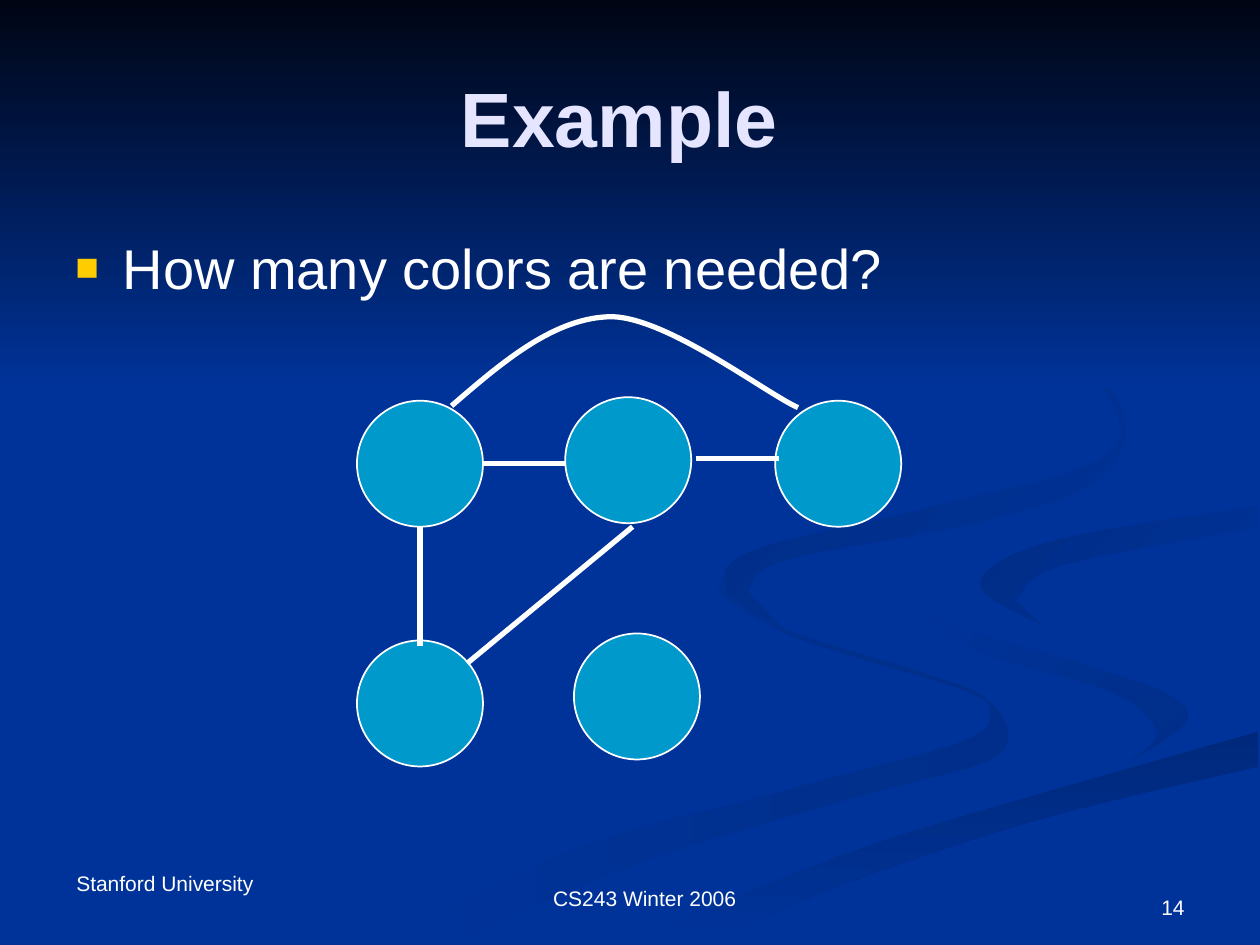
from itertools import chain

from lxml import etree
from pptx import Presentation
from pptx.dml.color import RGBColor
from pptx.enum.shapes import MSO_CONNECTOR as Connector, MSO_SHAPE as Shape
from pptx.enum.text import MSO_ANCHOR as Anchor, PP_ALIGN as Align
from pptx.oxml.ns import qn
from pptx.util import Pt

COLORS = {
    "blue": "003399", "night": "000514", "white": "FFFFFF", "title": "E5E5FF",
    "node": "0099CC", "bullet": "FFCC00", "shade_tail": "002E8A",
    "shade_road": "00297C", "shade_bend": "002C85", "shade_top": "002B81",
}

# Background ribbons: start colour, end colour, clockwise angle, smooth sides
RIBBONS = [
    ("shade_tail", "blue", 180, [
        [(414, 330), (442, 357), (526, 384), (562, 398), (576, 418), (562, 436),
         (487, 456), (359, 495), (260, 539)],
        [(216, 539), (330, 485), (444, 453), (546, 425), (566, 408), (549, 394),
         (454, 364), (410, 338)]]),
    ("shade_tail", "blue", 225, [
        [(521, 334), (536, 353), (584, 370), (652, 389), (679, 410), (644, 436)],
        [(644, 436), (661, 418), (634, 395), (562, 373), (528, 352)]]),
    ("shade_road", "blue", 90, [
        [(362, 539), (454, 499), (550, 466), (719, 418)],
        [(719, 438), (591, 469), (467, 511), (411, 539)]]),
    ("blue", "blue", 0, [
        [(522, 334), (536, 353), (613, 377), (670, 398), (678, 417), (642, 436),
         (507, 472), (343, 539)],
        [(362, 539), (454, 499), (551, 466), (719, 418)],
        [(719, 387), (611, 362), (564, 338), (592, 312), (719, 289)],
        [(719, 279), (613, 296), (527, 321)]]),
    ("blue", "shade_bend", 225, [
        [(719, 289), (611, 307), (570, 322), (562, 338), (595, 357)],
        [(580, 343), (607, 323), (719, 302)]]),
    ("blue", "shade_top", 225, [
        [(549, 168), (616, 205), (640, 246), (613, 269), (528, 291), (430, 315),
         (416, 337), (448, 360)],
        [(427, 338), (449, 320), (566, 297), (631, 272), (641, 233), (607, 198)]]),
    ("night", "blue", 90, [[(0, 0), (0, 222)], [(720, 222), (720, 0)]]),
]

NODE_SIZE = 72
NODES = [(204, 229), (323, 227), (443, 229), (204, 366), (328, 362)]
EDGES = [
    ((276, 265), (323, 265)),
    ((240, 301), (240, 369)),
    ((397.5, 262), (445, 262)),
    ((267, 379), (361.5, 301)),
]
# Start point, then two Bezier segments of three points each
ARC = [(258, 232), (287, 207), (317, 181), (350, 181), (382, 182), (438, 225), (456, 233)]


def rgb(name):
    return RGBColor.from_string(COLORS[name])


def smooth(knots):
    """Return the Bezier chain that runs through all knots."""
    padded = [knots[0], *knots, knots[-1]]
    chained = [knots[0]]
    for before, start, end, after in zip(padded, padded[1:], padded[2:], padded[3:]):
        chained.append(tuple(s + (e - b) / 6 for b, s, e in zip(before, start, end)))
        chained.append(tuple(e - (a - s) / 6 for s, e, a in zip(start, end, after)))
        chained.append(end)
    return chained


def add_curve(slide, chains, close):
    """Draw Bezier chains, joined by straight lines, as one outline."""
    knots = list(chain.from_iterable(points[::3] for points in chains))
    builder = slide.shapes.build_freeform(*knots[0], scale=Pt(1))
    builder.add_line_segments(knots[1:], close=close)
    curve = builder.convert_to_shape()
    curve.shadow.inherit = False
    left, top = (min(values) for values in zip(*knots))
    outline = next(curve._element.spPr.iter(qn("a:path")))
    for segment in list(outline)[1:]:
        outline.remove(segment)

    def add_segment(tag, points):
        segment = etree.SubElement(outline, qn(tag))
        for x, y in points:
            etree.SubElement(segment, qn("a:pt"), x=str(round(x - left)), y=str(round(y - top)))

    for index, points in enumerate(chains):
        if index:
            add_segment("a:lnTo", points[:1])
        for first in range(1, len(points), 3):
            add_segment("a:cubicBezTo", points[first:first + 3])
    if close:
        etree.SubElement(outline, qn("a:close"))
    return curve


def add_ribbon(slide, start, end, angle, sides):
    ribbon = add_curve(slide, [smooth(side) for side in sides], close=True)
    ribbon.line.fill.background()
    if start == end:
        ribbon.fill.solid()
        ribbon.fill.fore_color.rgb = rgb(start)
        return
    ribbon.fill.gradient()
    ribbon.fill.gradient_angle = 360 - angle
    for stop, color in zip(ribbon.fill.gradient_stops, (start, end)):
        stop.color.rgb = rgb(color)


def style_line(line, width):
    line.color.rgb = rgb("white")
    line.width = Pt(width)


def add_node(slide, left, top):
    node = slide.shapes.add_shape(Shape.OVAL, Pt(left), Pt(top), Pt(NODE_SIZE), Pt(NODE_SIZE))
    node.shadow.inherit = False
    node.fill.solid()
    node.fill.fore_color.rgb = rgb("node")
    style_line(node.line, 1)


def add_edge(slide, start, end):
    edge = slide.shapes.add_connector(Connector.STRAIGHT, *map(Pt, start + end))
    style_line(edge.line, 3)
    etree.SubElement(edge._element.spPr, qn("a:effectLst"))


def add_arc(slide, points):
    arc = add_curve(slide, [points], close=False)
    arc.fill.background()
    style_line(arc.line, 3)


def add_bullet(paragraph):
    props = paragraph._p.get_or_add_pPr()
    props.set("marL", str(Pt(27)))
    props.set("indent", str(Pt(-27)))
    color = etree.SubElement(props, qn("a:buClr"))
    etree.SubElement(color, qn("a:srgbClr"), val=COLORS["bullet"])
    etree.SubElement(props, qn("a:buSzPct"), val="70000")
    etree.SubElement(props, qn("a:buFont"), typeface="Arial")
    etree.SubElement(props, qn("a:buChar"), char="■")


def add_text(slide, text, box, size=12, color="white", bold=False, align=Align.LEFT,
             anchor=Anchor.TOP, wrap=True, bullet=False):
    frame = slide.shapes.add_textbox(*map(Pt, box)).text_frame
    frame.word_wrap = wrap
    frame.vertical_anchor = anchor
    paragraph = frame.paragraphs[0]
    paragraph.text = text
    paragraph.alignment = align
    if bullet:
        add_bullet(paragraph)
    font = paragraph.runs[0].font
    font.name, font.size, font.bold = "Arial", Pt(size), bold
    font.color.rgb = rgb(color)


def main():
    deck = Presentation()
    deck.slide_width, deck.slide_height = Pt(720), Pt(540)
    slide = deck.slides.add_slide(deck.slide_layouts[6])
    slide.background.fill.solid()
    slide.background.fill.fore_color.rgb = rgb("blue")
    for ribbon in RIBBONS:
        add_ribbon(slide, *ribbon)

    add_text(slide, "CS243 Winter 2006", (309, 502.5, 119, 22), wrap=False)
    add_text(slide, "Stanford University", (36.5, 494, 135, 22))
    add_text(slide, "Example ", (36, 21.5, 648, 90), size=44, color="title", bold=True,
             align=Align.CENTER, anchor=Anchor.MIDDLE)
    for node in NODES:
        add_node(slide, *node)
    for edge in EDGES:
        add_edge(slide, *edge)
    add_arc(slide, ARC)
    add_text(slide, "How many colors are needed?", (36, 130, 648, 352), size=32, bullet=True)
    add_text(slide, "14", (516, 492, 168, 37), align=Align.RIGHT, anchor=Anchor.BOTTOM)
    deck.save("out.pptx")


if __name__ == "__main__":
    main()
